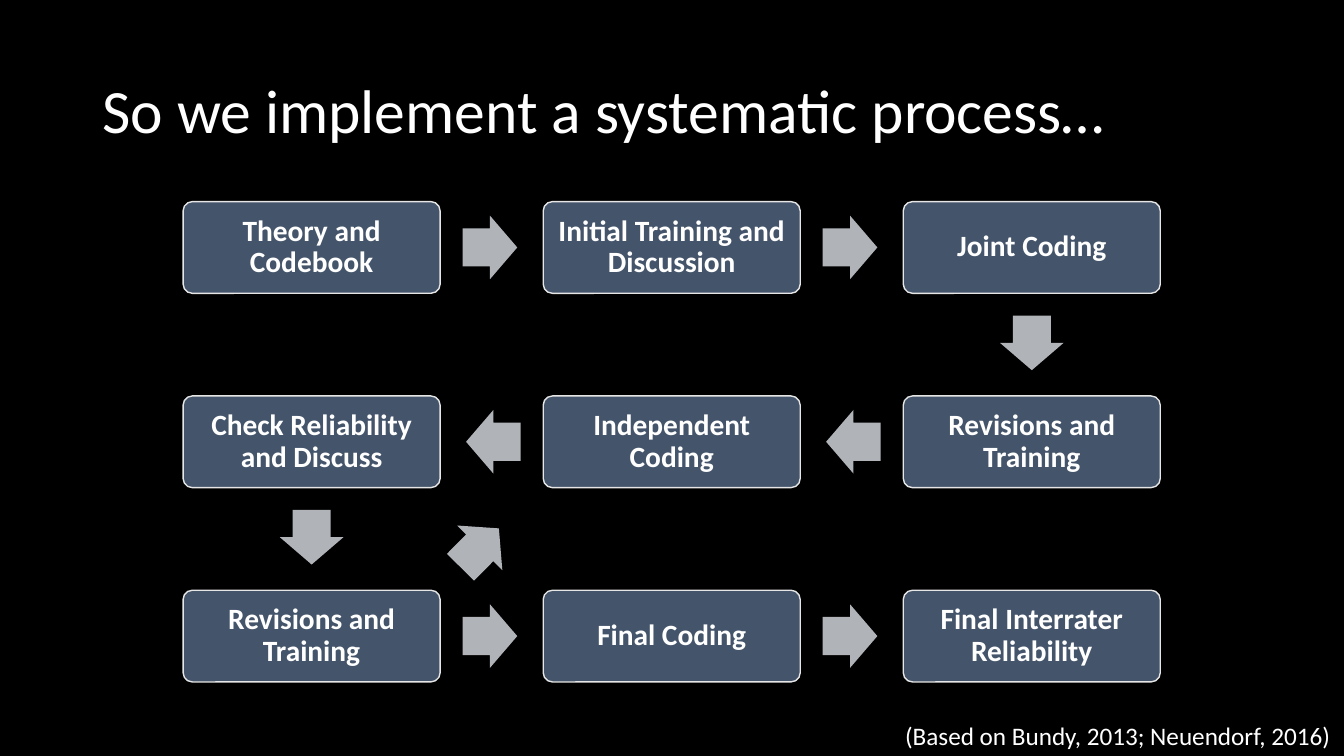
from itertools import pairwise
from math import atan2, cos, degrees, sin

from pptx import Presentation
from pptx.dml.color import RGBColor
from pptx.enum.shapes import MSO_SHAPE as Shape
from pptx.enum.text import MSO_ANCHOR as Anchor, PP_ALIGN as Align
from pptx.util import Pt

BLACK = RGBColor(0x00, 0x00, 0x00)
WHITE = RGBColor(0xFF, 0xFF, 0xFF)
SLATE = RGBColor(0x44, 0x54, 0x6A)
PALE = RGBColor(0xE7, 0xE6, 0xE6)
GREY = RGBColor(0xB0, 0xB4, 0xB9)

STEP_W, STEP_H = 183.6, 65.5
FIRST_X, FIRST_Y = 222.6, 176.75
PITCH_X, PITCH_Y = 257.2, 138.8
ARROW_W, ARROW_H = 39, 45.4
ARROW_SETBACK = 1.2
COLUMNS = 3

STEPS = [
    "Theory and Codebook",
    "Initial Training and Discussion",
    "Joint Coding",
    "Revisions and Training",
    "Independent Coding",
    "Check Reliability and Discuss",
    "Revisions and Training",
    "Final Coding",
    "Final Interrater Reliability",
]


class ProcessSlide:
    font = "Calibri"

    def __init__(self, deck):
        self.slide = deck.slides.add_slide(deck.slide_layouts[5])
        self.slide.background.fill.solid()
        self.slide.background.fill.fore_color.rgb = BLACK

    def set_text(self, shape, words, size, bold=False, align=Align.LEFT, spacing=None):
        frame = shape.text_frame
        frame.word_wrap = True
        frame.text = words
        paragraph = frame.paragraphs[0]
        paragraph.alignment = align
        paragraph.line_spacing = spacing
        paragraph.font.name = self.font
        paragraph.font.size = Pt(size)
        paragraph.font.bold = bold
        paragraph.font.color.rgb = WHITE
        return frame

    def title(self, words, left, top, width, height):
        heading = self.slide.shapes.title
        heading.left, heading.top = Pt(left), Pt(top)
        heading.width, heading.height = Pt(width), Pt(height)
        frame = self.set_text(heading, words, 44, spacing=0.9)
        frame.vertical_anchor = Anchor.MIDDLE

    def centred_shape(self, kind, x, y, width, height, fill):
        shape = self.slide.shapes.add_shape(
            kind, Pt(x - width / 2), Pt(y - height / 2), Pt(width), Pt(height))
        shape.shadow.inherit = False
        shape.fill.solid()
        shape.fill.fore_color.rgb = fill
        return shape

    def step(self, words, x, y):
        box = self.centred_shape(Shape.ROUNDED_RECTANGLE, x, y, STEP_W, STEP_H, SLATE)
        box.adjustments[0] = 0.1
        box.line.color.rgb = PALE
        box.line.width = Pt(1)
        frame = self.set_text(box, words, 21, True, Align.CENTER, 0.9)
        frame.vertical_anchor = Anchor.MIDDLE
        frame.margin_left = frame.margin_right = Pt(8.3)
        frame.margin_top = frame.margin_bottom = Pt(8.3)

    def arrow(self, x, y, angle):
        arrow = self.centred_shape(Shape.RIGHT_ARROW, x, y, ARROW_W, ARROW_H, GREY)
        arrow.adjustments[0] = 0.6
        arrow.adjustments[1] = 0.5
        arrow.line.fill.background()
        arrow.rotation = angle

    def arrow_between(self, start, end):
        (x1, y1), (x2, y2) = start, end
        angle = atan2(y2 - y1, x2 - x1)
        self.arrow((x1 + x2) / 2 - ARROW_SETBACK * cos(angle),
                   (y1 + y2) / 2 - ARROW_SETBACK * sin(angle), degrees(angle))

    def citation(self, words, left, top, width, height):
        box = self.slide.shapes.add_textbox(Pt(left), Pt(top), Pt(width), Pt(height))
        self.set_text(box, words, 18)


def serpentine_centre(index):
    row, column = divmod(index, COLUMNS)
    if row % 2:
        column = COLUMNS - 1 - column
    return FIRST_X + column * PITCH_X, FIRST_Y + row * PITCH_Y


def main():
    deck = Presentation()
    deck.slide_width, deck.slide_height = Pt(960), Pt(540)
    process = ProcessSlide(deck)
    process.title("So we implement a systematic process…", 66, 28.8, 828, 104.4)

    centres = [serpentine_centre(index) for index in range(len(STEPS))]
    for words, centre in zip(STEPS, centres):
        process.step(words, *centre)
    for start, end in pairwise(centres):
        process.arrow_between(start, end)
    process.arrow(342.7, 391.3, 314.6)

    process.citation("(Based on Bundy, 2013; Neuendorf, 2016)", 639.4, 511, 320.6, 29)
    deck.save("out.pptx")


if __name__ == "__main__":
    main()
